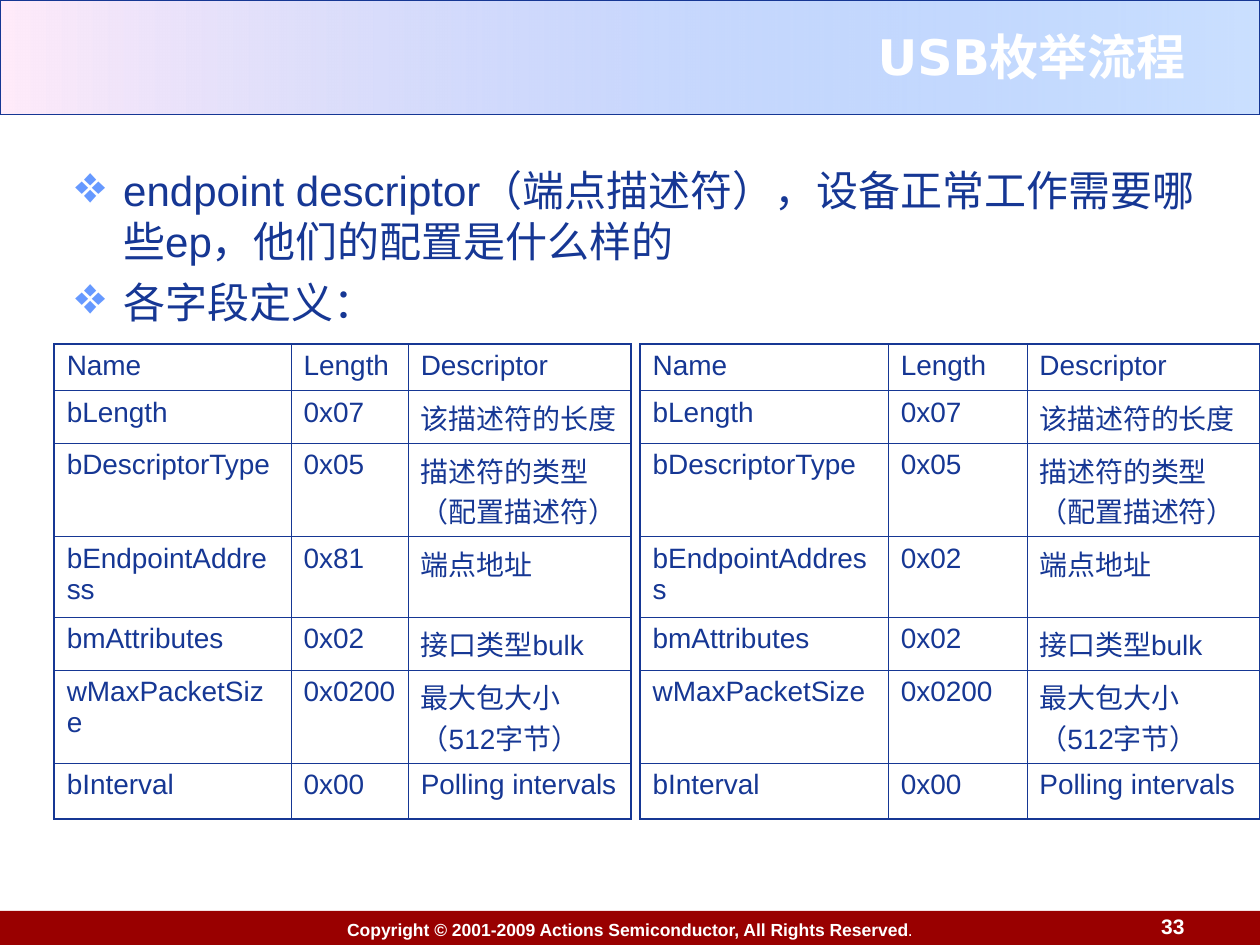
"""Build the slide on the USB endpoint descriptor and its two field tables."""
import lxml.etree
import pptx
import pptx.dml.color
import pptx.enum.shapes
import pptx.enum.text
import pptx.oxml.ns
import pptx.util

Inches = pptx.util.Inches
Pt = pptx.util.Pt
RGBColor = pptx.dml.color.RGBColor
ALIGN = pptx.enum.text.PP_ALIGN
ANCHOR = pptx.enum.text.MSO_ANCHOR
qn = pptx.oxml.ns.qn

NAVY = RGBColor(0x16, 0x37, 0x94)
SKY = RGBColor(0x5E, 0x9E, 0xFF)
PINK = RGBColor(0xFF, 0xEB, 0xFA)
BULLET_BLUE = RGBColor(0x66, 0x99, 0xFF)
DARK_RED = RGBColor(0x99, 0x00, 0x00)
WHITE = RGBColor(0xFF, 0xFF, 0xFF)


def style(paragraph, size, color, name="Arial", bold=False, alignment=ALIGN.LEFT):
    paragraph.alignment = alignment
    paragraph.font.size = Pt(size)
    paragraph.font.name = name
    paragraph.font.bold = bold
    paragraph.font.color.rgb = color


def add_solid(parent, tag, color, **attributes):
    element = lxml.etree.SubElement(parent, qn(tag), **attributes)
    target = element
    if tag != "a:buClr":
        target = lxml.etree.SubElement(element, qn("a:solidFill"))
    lxml.etree.SubElement(target, qn("a:srgbClr"), val=str(color))


presentation = pptx.Presentation()
presentation.slide_width = Inches(10)
presentation.slide_height = Inches(7.5)
slide = presentation.slides.add_slide(presentation.slide_layouts[5])
shapes = slide.shapes
title = shapes.title

rectangle = pptx.enum.shapes.MSO_SHAPE.RECTANGLE
banner = shapes.add_shape(rectangle, 0, 0, presentation.slide_width, Inches(0.91))
banner.shadow.inherit = False
banner.fill.gradient()
banner.fill.gradient_angle = 180
for stop, color, position in zip(banner.fill.gradient_stops, (SKY, PINK), (0, 1)):
    stop.color.rgb = color
    stop.position = position
sky_color = banner.element.find(".//" + qn("a:gs")).find(qn("a:srgbClr"))
lxml.etree.SubElement(sky_color, qn("a:alpha"), val="32000")
banner.line.color.rgb = NAVY
banner.line.width = Pt(0.75)
title.element.addprevious(banner.element)

footer = shapes.add_shape(rectangle, 0, Inches(7.23), presentation.slide_width, Inches(0.29))
footer.shadow.inherit = False
footer.fill.solid()
footer.fill.fore_color.rgb = DARK_RED
footer.line.fill.background()
footer.text_frame.word_wrap = False
footer.text_frame.vertical_anchor = ANCHOR.MIDDLE
paragraph = footer.text_frame.paragraphs[0]
style(paragraph, 10, WHITE, alignment=ALIGN.CENTER)
copyright_run = paragraph.add_run()
copyright_run.text = "Copyright © 2001-2009 Actions Semiconductor, All Rights Reserved"
copyright_run.font.bold = True
paragraph.add_run().text = "."

page_number = shapes.add_textbox(Inches(8.94), Inches(7.22), Inches(0.56), Inches(0.28))
page_number.text_frame.word_wrap = True
page_number.text_frame.vertical_anchor = ANCHOR.BOTTOM
page_number.text_frame.text = "33"
style(page_number.text_frame.paragraphs[0], 12, WHITE, bold=True, alignment=ALIGN.RIGHT)

title.left, title.top = Inches(2.01), Inches(0.13)
title.width, title.height = Inches(7.5), Inches(0.62)
title.text_frame.text = "USB枚举流程"
title.text_frame.auto_size = pptx.enum.text.MSO_AUTO_SIZE.NONE
title.text_frame.vertical_anchor = ANCHOR.MIDDLE
style(title.text_frame.paragraphs[0], 28, WHITE, "DejaVu Sans", True, ALIGN.RIGHT)

body = shapes.add_textbox(Inches(0.5), Inches(1.26), Inches(9.3), Inches(6.11))
body.text_frame.word_wrap = True
body.text_frame.text = (
    "endpoint descriptor（端点描述符），设备正常工作需要哪些ep，他们的配置是什么样的\n"
    "各字段定义："
)
for paragraph in body.text_frame.paragraphs:
    properties = paragraph._p.get_or_add_pPr()
    properties.set("marL", str(Inches(0.38)))
    properties.set("indent", str(-Inches(0.38)))
    add_solid(properties, "a:buClr", BULLET_BLUE)
    lxml.etree.SubElement(properties, qn("a:buSzPct"), val="125000")
    lxml.etree.SubElement(properties, qn("a:buChar"), char="❖")
    style(paragraph, 24, NAVY)
body.text_frame.paragraphs[1].space_before = Pt(6)

row_heights = (0.37, 0.42, 0.74, 0.64, 0.42, 0.74, 0.44)
tables = (
    (0.43, (1.88, 0.93, 1.77), "0x81"),
    (5.08, (1.97, 1.1, 1.85), "0x02"),
)
for left, column_widths, endpoint_address in tables:
    fields = (
        ("Name", "Length", "Descriptor"),
        ("bLength", "0x07", "该描述符的长度"),
        ("bDescriptorType", "0x05", "描述符的类型（配置描述符）"),
        ("bEndpointAddress", endpoint_address, "端点地址"),
        ("bmAttributes", "0x02", "接口类型bulk"),
        ("wMaxPacketSize", "0x0200", "最大包大小（512字节）"),
        ("bInterval", "0x00", "Polling intervals"),
    )
    last_row, last_column = len(fields) - 1, len(column_widths) - 1
    table = shapes.add_table(
        len(fields), len(column_widths), Inches(left), Inches(2.73),
        Inches(sum(column_widths)), Inches(sum(row_heights)),
    ).table
    table.first_row = False
    table.horz_banding = False
    for column, width in zip(table.columns, column_widths):
        column.width = Inches(width)
    for row_index, (height, field) in enumerate(zip(row_heights, fields)):
        table.rows[row_index].height = Inches(height)
        for column_index, text in enumerate(field):
            cell = table.cell(row_index, column_index)
            cell.text = text
            style(cell.text_frame.paragraphs[0], 16, NAVY)
            outer_sides = {
                "a:lnL": column_index == 0,
                "a:lnR": column_index == last_column,
                "a:lnT": row_index == 0,
                "a:lnB": row_index == last_row,
            }
            for side, is_outer in outer_sides.items():
                line_width = Pt(1.08 if is_outer else 0.45)
                add_solid(cell._tc.get_or_add_tcPr(), side, NAVY, w=str(line_width))
            cell.fill.background()

presentation.save("out.pptx")
